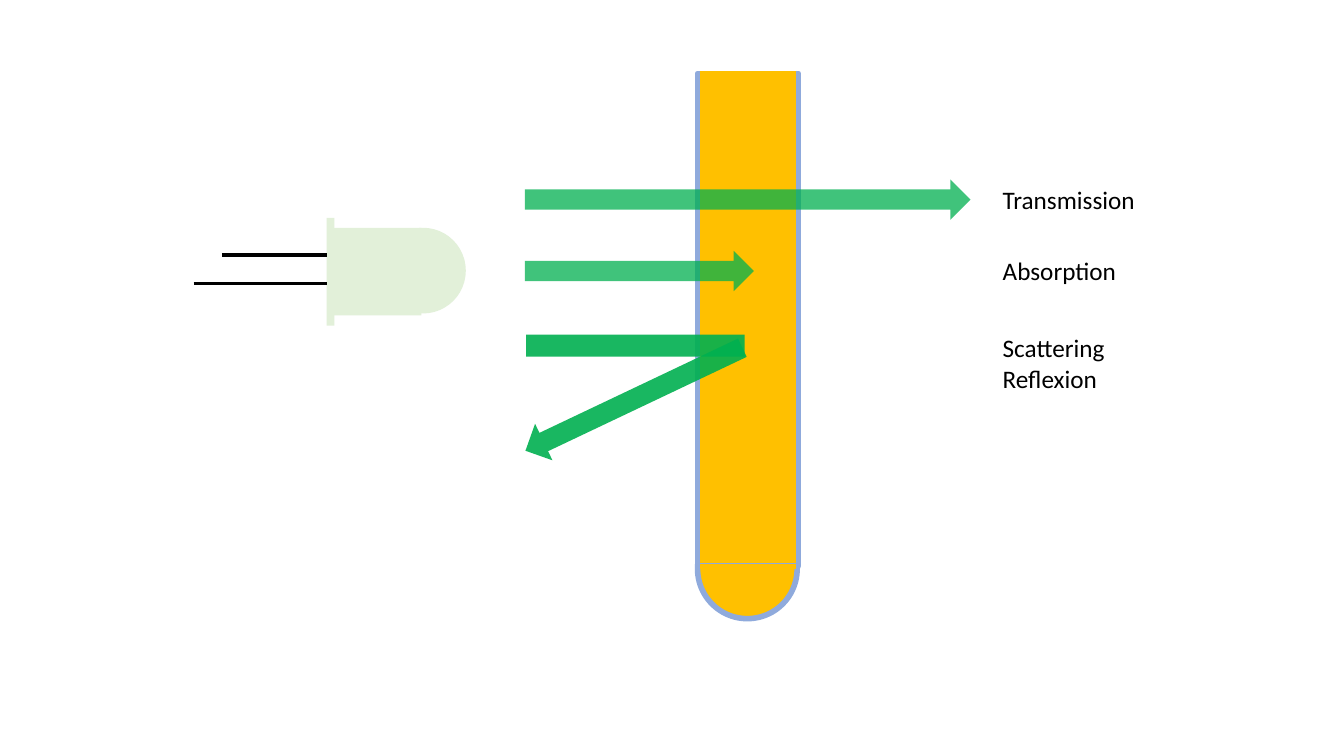
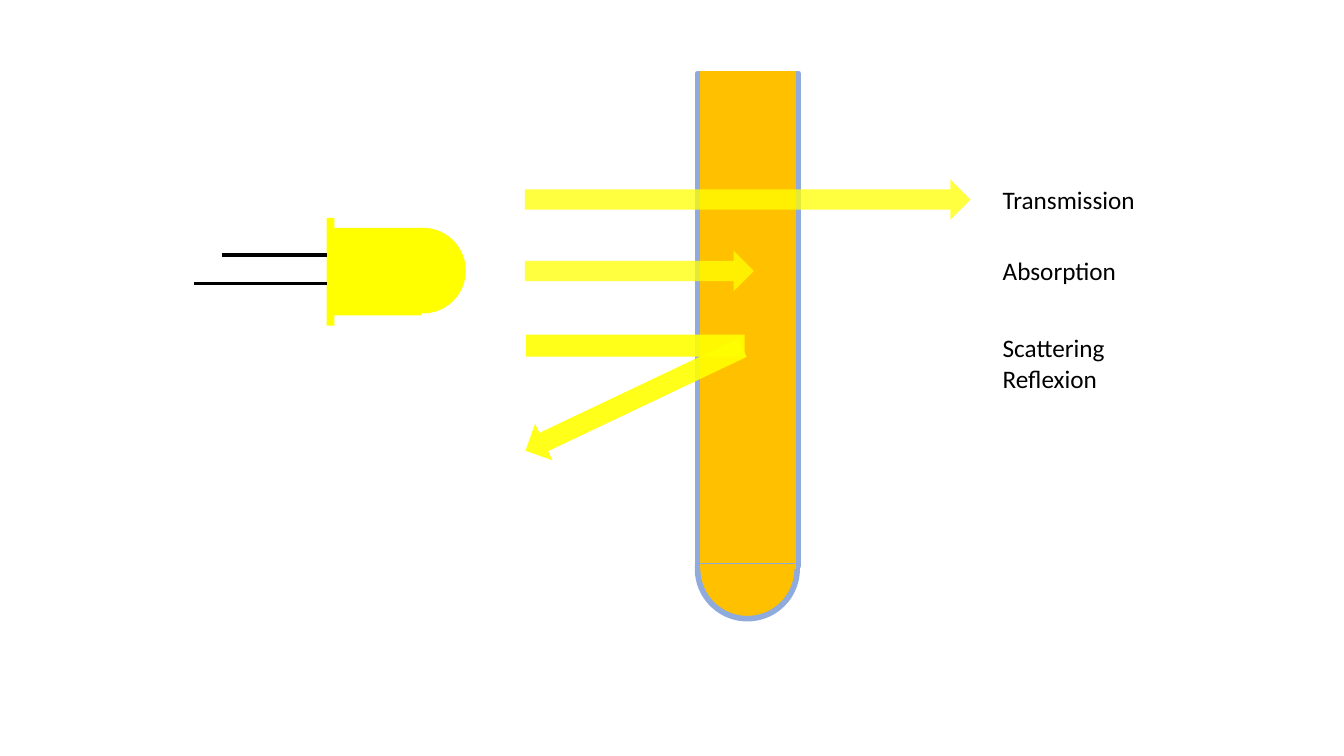
from pptx import Presentation
from pptx.dml.color import RGBColor
from pptx.enum import shapes as kinds, text as text_enum
from pptx.oxml import ns, xmlchemy
from pptx.util import Cm, Pt

COLORS = {
    "liquid": "FFC000",
    "glass": "8FAADC",
    "ink": "000000",
    "green": "00B050",
    "pale_green": "E2F0D9",
    "yellow": "FFFF00",
}
FONT = "Calibri"
GLASS_WIDTH = 4
WIRE_WIDTH = 2.5
TUBE_LEFT, TUBE_TOP, TUBE_BOTTOM = 17.58, 1.85, 14.27
RIM_LEFT = 8.23
BEAM_LEFT, BEAM_HEIGHT = 13.23, 1.02
LABEL_LEFT = 25.02
TRANSMISSION_TOP, ABSORPTION_TOP, SCATTERING_TOP = 4.52, 6.32, 8.26
SHAPE = kinds.MSO_SHAPE


def rgb(name):
    return RGBColor.from_string(COLORS[name])


def add_part(parent, preset, box, color, outline=None, opacity=100, rotation=0):
    part = parent.shapes.add_shape(preset, *map(Cm, box))
    part.shadow.inherit = False
    part.rotation = rotation
    part.fill.solid()
    part.fill.fore_color.rgb = rgb(color)
    if opacity < 100:
        fill_color = part._element.spPr.find(ns.qn("a:solidFill"))[0]
        alpha = xmlchemy.OxmlElement("a:alpha")
        alpha.set("val", str(opacity * 1000))
        fill_color.append(alpha)
    if outline:
        part.line.color.rgb = rgb(outline)
        part.line.width = Pt(GLASS_WIDTH)
    else:
        part.line.fill.background()


def add_level_line(parent, start, end, y, color, width):
    line = parent.shapes.add_connector(
        kinds.MSO_CONNECTOR.STRAIGHT, Cm(start), Cm(y), Cm(end), Cm(y))
    line.line.color.rgb = rgb(color)
    line.line.width = Pt(width)
    line._element.spPr.append(xmlchemy.OxmlElement("a:effectLst"))


def add_label(slide, top, width, height, *lines):
    label = slide.shapes.add_textbox(Cm(LABEL_LEFT), Cm(top), Cm(width), Cm(height))
    frame = label.text_frame
    frame.word_wrap = False
    frame.auto_size = text_enum.MSO_AUTO_SIZE.SHAPE_TO_FIT_TEXT
    frame.text = "\n".join(lines)
    for paragraph in frame.paragraphs:
        paragraph.font.name = FONT
        paragraph.font.size = Pt(18)
        paragraph.font.color.rgb = rgb("ink")


def add_test_tube(slide):
    tube = slide.shapes.add_group_shape()
    add_part(tube, SHAPE.FLOWCHART_CONNECTOR, (TUBE_LEFT, 13.08, 2.51, 2.51),
             "liquid", "glass")
    add_part(tube, SHAPE.RECTANGLE,
             (TUBE_LEFT, TUBE_TOP, 2.54, TUBE_BOTTOM - TUBE_TOP), "liquid", "glass")
    for y in (TUBE_BOTTOM, TUBE_TOP):
        add_level_line(tube, 17.65, 20.06, y, "liquid", GLASS_WIDTH)


def add_labels(slide):
    add_label(slide, TRANSMISSION_TOP, 3.86, 1.02, "Transmission")
    add_label(slide, ABSORPTION_TOP, 3.4, 1.02, "Absorption")
    add_label(slide, SCATTERING_TOP, 3.12, 1.8, "Scattering", "Reflexion")


def add_beams(slide, color):
    for top, length in ((TRANSMISSION_TOP, 11.23), (ABSORPTION_TOP, 5.77)):
        add_part(slide, SHAPE.RIGHT_ARROW, (BEAM_LEFT, top, length, BEAM_HEIGHT),
                 color, opacity=75)
    scattered = slide.shapes.add_group_shape()
    add_part(scattered, SHAPE.RECTANGLE, (13.26, 8.43, 5.51, 0.56), color, opacity=90)
    add_part(scattered, SHAPE.RIGHT_ARROW, (12.95, 9.55, 6.05, BEAM_HEIGHT),
             color, opacity=90, rotation=154.6)


def add_led(slide, color):
    led = slide.shapes.add_group_shape()
    add_part(led, SHAPE.FLOWCHART_CONNECTOR, (9.58, 5.74, 2.16, 2.16), color)
    add_part(led, SHAPE.RECTANGLE, (8.38, 5.74, 2.24, 2.21), color)
    add_part(led, SHAPE.RECTANGLE, (RIM_LEFT, 5.49, 0.2, 2.72), color)
    for start, y in ((5.59, 6.43), (4.88, 7.14)):
        add_level_line(led, start, RIM_LEFT, y, "ink", WIRE_WIDTH)


def main():
    deck = Presentation()
    deck.slide_width, deck.slide_height = Cm(33.87), Cm(19.05)
    for beam_color, led_color in (("green", "pale_green"), ("yellow", "yellow")):
        slide = deck.slides.add_slide(deck.slide_layouts[6])
        add_test_tube(slide)
        add_labels(slide)
        add_beams(slide, beam_color)
        add_led(slide, led_color)
    deck.save("out.pptx")


main()
